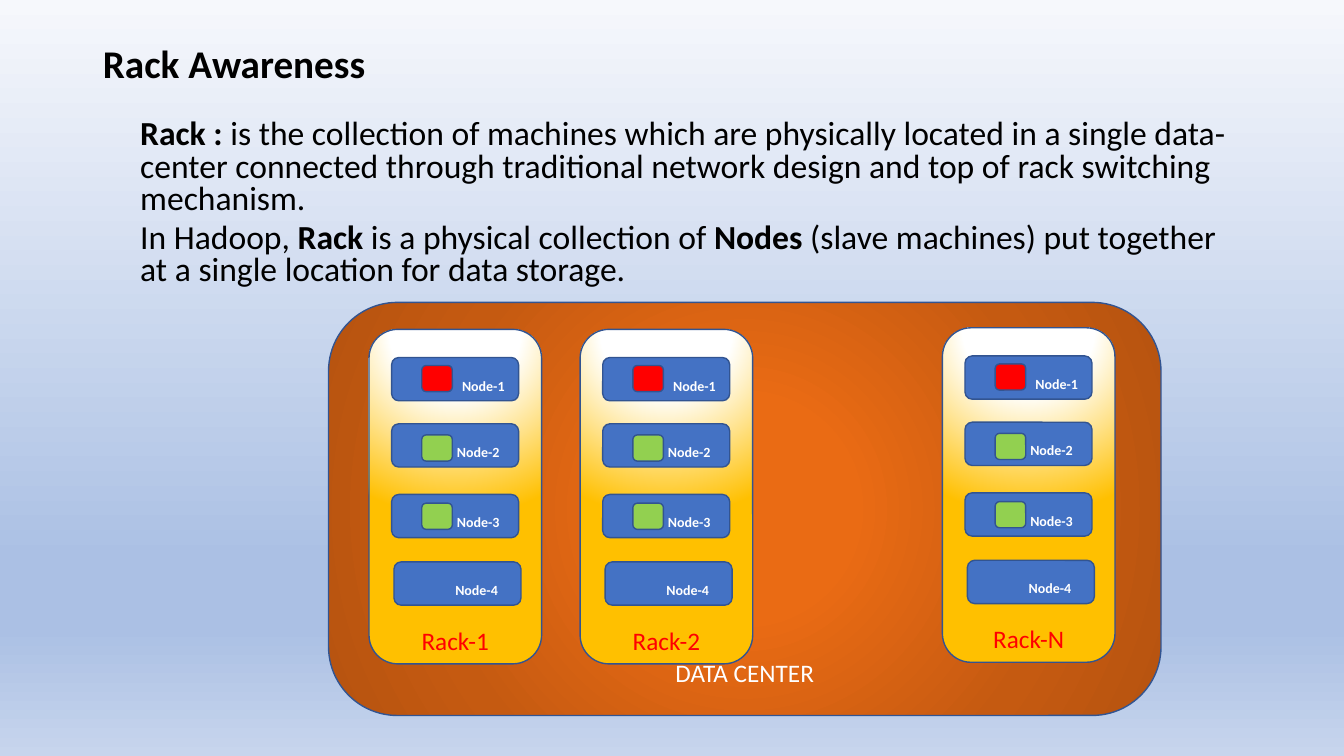
from dataclasses import dataclass

from lxml import etree
from pptx import Presentation
from pptx.dml.color import RGBColor
from pptx.enum.shapes import MSO_SHAPE
from pptx.enum.text import MSO_ANCHOR, MSO_AUTO_SIZE, PP_ALIGN
from pptx.oxml.ns import qn
from pptx.util import Cm, Pt

ROUNDED = MSO_SHAPE.ROUNDED_RECTANGLE
LEFT, CENTER, RIGHT = PP_ALIGN.LEFT, PP_ALIGN.CENTER, PP_ALIGN.RIGHT
MIDDLE, TOP, BOTTOM = MSO_ANCHOR.MIDDLE, MSO_ANCHOR.TOP, MSO_ANCHOR.BOTTOM

# Content: body paragraphs are lists of (text, bold) runs
TITLE = "Rack Awareness"
BODY = [
    [("Rack : ", True),
     ("is the collection of machines which are physically located in a single "
      "data-center connected through traditional network design and top of rack "
      "switching mechanism.", False)],
    [("In Hadoop, ", False), ("Rack", True),
     (" is a physical collection of ", False), ("Nodes", True),
     (" (slave machines) put together at a single location for data storage.", False)],
]
DATA_CENTER = "DATA CENTER"
RACKS = [("Rack-1", 9.3, 8.3), ("Rack-2", 14.62, 8.3), ("Rack-N", 23.75, 8.26)]

# Offsets inside a rack in cm: label, left, top, right text inset
NODES = [
    ("Node-1", 0.57, 0.71, 0.3),
    ("Node-2", 0.57, 2.38, 0.43),
    ("Node-3", 0.57, 4.16, 0.43),
    ("Node-4", 0.63, 5.86, 0.53),
]
BLOCK_LEFT = 1.33
BLOCKS = [("red", 0.91), ("green", 2.66), ("green", 4.38)]  # colour, top
RACK_SIZE = (4.35, 8.43)
NODE_SIZE = (3.2, 1.09)
BLOCK_SIZE = (0.77, 0.66)


@dataclass(frozen=True)
class Theme:
    font: str = "Calibri"
    text: str = "000000"
    white: str = "FFFFFF"
    red: str = "FF0000"
    green: str = "92D050"
    node: str = "4472C4"
    outline: str = "325491"
    title_size: int = 28
    body_size: int = 24
    label_size: int = 18
    node_size: int = 10
    background: tuple = ((0, "F6F8FC"), (74, "ABC0E4"), (83, "ABC0E4"), (100, "C7D5ED"))
    center: tuple = ((0, "EA6B14"), (23, "EA6B14"), (69, "C55A11"), (97, "B85410"))
    rack: tuple = ((0, "FFFFFF"), (35, "FFFFFF"), (100, "FFC000"))


THEME = Theme()


def gradient(stops, focus=None):
    """Return a gradFill: circular around focus (l, t, r, b in %), else top to bottom."""
    grad = etree.Element(qn("a:gradFill"), rotWithShape="1")
    stop_list = etree.SubElement(grad, qn("a:gsLst"))
    for position, color in stops:
        stop = etree.SubElement(stop_list, qn("a:gs"), pos=str(position * 1000))
        etree.SubElement(stop, qn("a:srgbClr"), val=color)
    if focus:
        path = etree.SubElement(grad, qn("a:path"), path="circle")
        edges = {side: str(value * 1000) for side, value in zip("ltrb", focus)}
        etree.SubElement(path, qn("a:fillToRect"), **edges)
    else:
        etree.SubElement(grad, qn("a:lin"), ang="5400000", scaled="0")
    return grad


def replace_solid(parent, grad):
    parent.replace(parent.find(qn("a:solidFill")), grad)


def add_run(p, text, size, color, bold=False):
    r = p.add_run()
    r.text = text
    r.font.name = THEME.font
    r.font.size = Pt(size)
    r.font.bold = bold
    r.font.color.rgb = RGBColor.from_string(color)


def add_box(s, left, top, size, color, focus=None):
    """Add a rounded box; color is a hex value, or gradient stops when focus is given."""
    width, height = size
    sp = s.shapes.add_shape(ROUNDED, Cm(left), Cm(top), Cm(width), Cm(height))
    sp.shadow.inherit = False
    sp.fill.solid()
    if focus:
        replace_solid(sp._element.spPr, gradient(color, focus))
    else:
        sp.fill.fore_color.rgb = RGBColor.from_string(color)
    sp.line.color.rgb = RGBColor.from_string(THEME.outline)
    sp.line.width = Pt(1)
    return sp


def label_box(sp, text, size, color, align=CENTER, bold=False, right=0.0, bottom=0.0):
    tf = sp.text_frame
    tf.word_wrap = True
    tf.vertical_anchor = BOTTOM
    tf.margin_left = tf.margin_top = 0
    tf.margin_right, tf.margin_bottom = Cm(right), Cm(bottom)
    p = tf.paragraphs[0]
    p.alignment = align
    add_run(p, text, size, color, bold)


def place(sp, left, top, width, height, anchor):
    sp.left, sp.top, sp.width, sp.height = Cm(left), Cm(top), Cm(width), Cm(height)
    tf = sp.text_frame
    tf.word_wrap = True
    tf.auto_size = MSO_AUTO_SIZE.NONE
    tf.vertical_anchor = anchor
    return tf


def add_title(s):
    tf = place(s.shapes.title, 2.34, 1.02, 29.21, 1.27, MIDDLE)
    p = tf.paragraphs[0]
    p.alignment = LEFT
    p.line_spacing = 0.9
    add_run(p, TITLE, THEME.title_size, THEME.text, True)


def add_body(s):
    tf = place(s.placeholders[1], 2.01, 2.9, 29.21, 4.9, TOP)
    for i, runs in enumerate(BODY):
        p = tf.add_paragraph() if i else tf.paragraphs[0]
        p.level = 1
        pPr = p._p.get_or_add_pPr()
        pPr.set("marL", str(Cm(1.27)))
        pPr.set("indent", "0")
        etree.SubElement(pPr, qn("a:buNone"))
        p.alignment = LEFT
        p.line_spacing = 0.8
        p.space_before = Pt(5 if i else 0)
        for text, bold in runs:
            add_run(p, text, THEME.body_size, THEME.text, bold)


def add_rack(s, name, left, top):
    rack = add_box(s, left, top, RACK_SIZE, THEME.rack, (50, -80, 50, 180))
    label_box(rack, name, THEME.label_size, THEME.red)
    for label, dx, dy, inset in NODES:
        node = add_box(s, left + dx, top + dy, NODE_SIZE, THEME.node)
        label_box(node, label, THEME.node_size, THEME.white, RIGHT, True, inset, 0.12)
    for color, dy in BLOCKS:
        add_box(s, left + BLOCK_LEFT, top + dy, BLOCK_SIZE, getattr(THEME, color))


def main():
    prs = Presentation()
    prs.slide_width, prs.slide_height = Cm(33.87), Cm(19.05)
    s = prs.slides.add_slide(prs.slide_layouts[1])
    s.background.fill.solid()
    replace_solid(s._element.cSld.find(".//" + qn("p:bgPr")), gradient(THEME.background))

    add_title(s)
    add_body(s)
    center = add_box(s, 8.28, 7.62, (20.98, 10.41), THEME.center, (50, 50, 50, 50))
    label_box(center, DATA_CENTER, THEME.label_size, THEME.white, bottom=0.2)
    for rack in RACKS:
        add_rack(s, *rack)
    prs.save("out.pptx")


if __name__ == "__main__":
    main()
